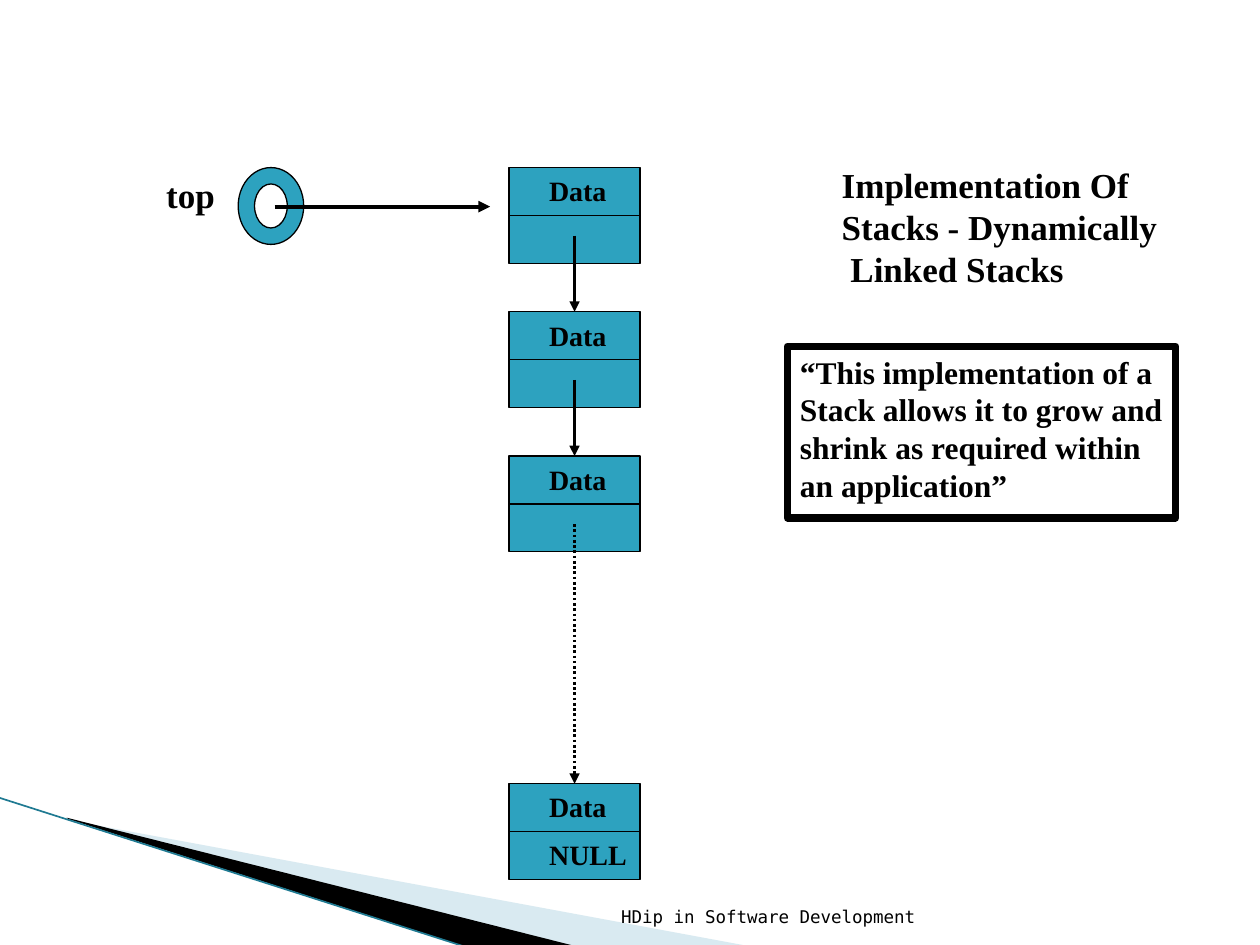
import pptx
import pptx.dml.color
import pptx.enum.dml
import pptx.enum.shapes
import pptx.enum.text
import pptx.oxml.ns
import pptx.util
import lxml.etree

SHAPES = pptx.enum.shapes.MSO_SHAPE
ANCHOR = pptx.enum.text.MSO_ANCHOR
ALIGN = pptx.enum.text.PP_ALIGN
COLUMNS, ROWS = 100, 75
BLACK, TEAL, PALE, EDGE = "000000", "2DA2BF", "A0CBDC", "1F7A92"


def colour(hex_code):
    return pptx.dml.color.RGBColor.from_string(hex_code)


def add_xml(parent, tag, **attributes):
    return lxml.etree.SubElement(parent, pptx.oxml.ns.qn(tag), **attributes)


class StackSlide:
    serif, mono = "Times New Roman", "DejaVu Sans Mono"

    def __init__(self, deck):
        self.column = deck.slide_width / COLUMNS
        self.row = deck.slide_height / ROWS
        self.slide = deck.slides.add_slide(deck.slide_layouts[5])

    def place(self, left, top, width, height):
        return [round(left * self.column), round(top * self.row),
                round(width * self.column), round(height * self.row)]

    def set_words(self, frame, lines, size, font=None, bold=True, align=ALIGN.LEFT,
                  anchor=ANCHOR.TOP, wrap=True):
        frame.word_wrap = wrap
        frame.auto_size = pptx.enum.text.MSO_AUTO_SIZE.NONE
        frame.vertical_anchor = anchor
        paragraph = frame.paragraphs[0]
        paragraph.alignment = align
        for number, words in enumerate(lines):
            if number:
                paragraph.add_line_break()
            run = paragraph.add_run()
            run.text = words
            run.font.name = font or self.serif
            run.font.size = pptx.util.Pt(size)
            run.font.bold = bold
            run.font.color.rgb = colour(BLACK)

    def title(self, box, lines, size):
        heading = self.slide.shapes.title
        heading.left, heading.top, heading.width, heading.height = self.place(*box)
        self.set_words(heading.text_frame, lines, size)

    def text(self, box, words, size, **style):
        label = self.slide.shapes.add_textbox(*self.place(*box))
        self.set_words(label.text_frame, [words], size, **style)

    def paint(self, shape, fill, outline):
        shape.shadow.inherit = False
        if fill:
            shape.fill.solid()
            shape.fill.fore_color.rgb = colour(fill)
        else:
            shape.fill.background()
        if outline:
            shape.line.color.rgb = colour(BLACK)
            shape.line.width = pptx.util.Pt(outline)
        else:
            shape.line.fill.background()

    def shape(self, preset, box, fill=TEAL, outline=0.75):
        figure = self.slide.shapes.add_shape(preset, *self.place(*box))
        self.paint(figure, fill, outline)
        return figure

    def wedge(self, points, fill, opacity=100):
        corners = [(x * self.column, y * self.row) for x, y in points]
        builder = self.slide.shapes.build_freeform(*corners[0])
        builder.add_line_segments(corners[1:])
        sweep = builder.convert_to_shape()
        self.paint(sweep, fill, None)
        if opacity < 100:
            tint = sweep._element.spPr.find(".//" + pptx.oxml.ns.qn("a:srgbClr"))
            add_xml(tint, "a:alpha", val=str(opacity * 1000))

    def line(self, start, end, width=0.75, hex_code=BLACK, arrow=False, dotted=False):
        ends = self.place(*start, *end)
        link = self.slide.shapes.add_connector(pptx.enum.shapes.MSO_CONNECTOR.STRAIGHT, *ends)
        link.line.color.rgb = colour(hex_code)
        link.line.width = pptx.util.Pt(width)
        if dotted:
            link.line.dash_style = pptx.enum.dml.MSO_LINE.ROUND_DOT
        if arrow:
            outline = link._element.spPr.find(pptx.oxml.ns.qn("a:ln"))
            add_xml(outline, "a:tailEnd", type="triangle")
        add_xml(link._element.spPr, "a:effectLst")

    def node(self, left, top, width, cell):
        self.shape(SHAPES.RECTANGLE, (left, top, width, 2 * cell))
        self.line((left, top + cell), (left + width, top + cell))
        self.text((left + 2.2, top, 6.6, 3.7), "Data", 16, wrap=False)


def main():
    deck = pptx.Presentation()
    deck.slide_width = pptx.util.Inches(10)
    deck.slide_height = pptx.util.Inches(7.5)
    stack = StackSlide(deck)

    stack.wedge([(5.5, 65.1), (59.5, 75.1), (45.6, 75.1), (5.5, 65)], PALE, opacity=40)
    stack.wedge([(5.3, 64.9), (45.7, 75.1), (37.2, 75.2), (5.4, 65)], BLACK)
    stack.line((-0.1, 63.3), (37.1, 75.2), 0.95, EDGE)

    stack.title((65.8, 12.5, 27.5, 11),
                ["Implementation Of Stacks - Dynamically", " Linked Stacks"], 20)

    node_left, node_width, cell = 40.4, 10.4, 3.8
    first_top, step, last_top = 13.3, 11.45, 62.2
    node_tops = [first_top + step * i for i in range(3)] + [last_top]
    centre = node_left + node_width / 2

    stack.shape(SHAPES.DONUT, (18.9, first_top, 5.2, 6.1))
    for top in node_tops:
        stack.node(node_left, top, node_width, cell)
    for top, next_top in zip(node_tops, node_tops[1:]):
        stack.line((centre, top + 5.4), (centre, next_top), 1.5,
                   arrow=True, dotted=next_top == last_top)
    stack.line((21.8, 16.4), (38.9, 16.4), 2.25, arrow=True)
    stack.text((42.6, last_top + cell, 8.2, 3.7), "NULL", 16, wrap=False)
    stack.text((12.2, first_top, 5.9, 4.3), "top", 20)

    quote = stack.shape(SHAPES.RECTANGLE, (62.5, 27.5, 30.8, 13.6), fill=None, outline=4.5)
    stack.set_words(quote.text_frame, ["“This implementation of a Stack allows it to grow and "
                                       "shrink as required within an application”"], 18)
    stack.text((47.9, 70.1, 25.7, 4), "HDip in Software Development", 10,
               font=stack.mono, bold=False, align=ALIGN.RIGHT, anchor=ANCHOR.BOTTOM)

    deck.save("out.pptx")


if __name__ == "__main__":
    main()
